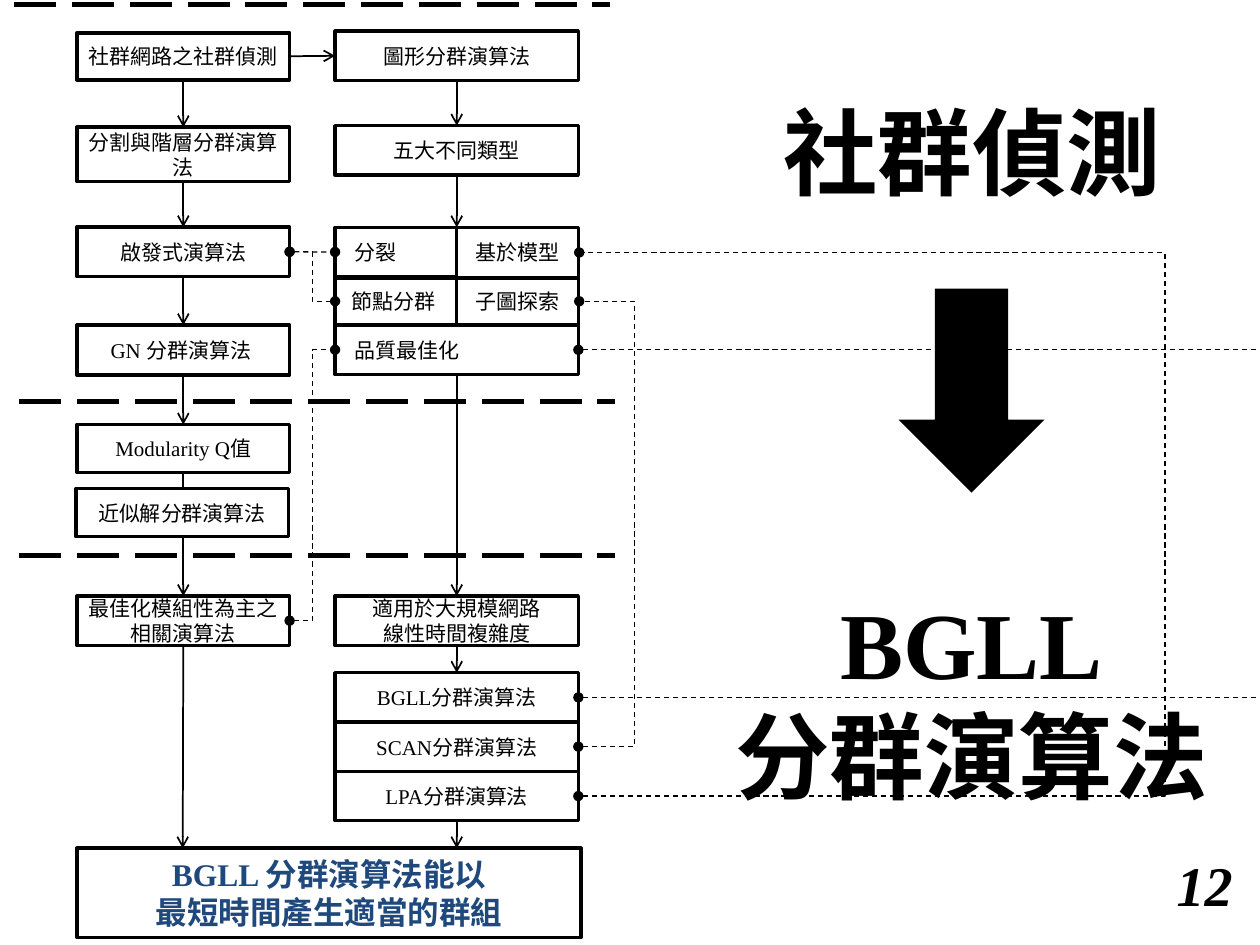
import pptx
import pptx.util
import pptx.dml.color
import pptx.enum.dml
import pptx.enum.shapes
import pptx.enum.text
import pptx.oxml
import pptx.oxml.ns

Pt = pptx.util.Pt
ALIGN = pptx.enum.text.PP_ALIGN
SHAPES = pptx.enum.shapes.MSO_SHAPE
CONNECTORS = pptx.enum.shapes.MSO_CONNECTOR
DASHES = pptx.enum.dml.MSO_LINE

THEME = {
    "ink": "000000", "paper": "FFFFFF", "accent": "1F497D",
    "font": "Times New Roman", "title_font": "Noto Sans CJK SC",
    "body": 12, "result": 18, "number": 32, "title": 54,
    "border": 2, "flow": 1, "relation": 0.75, "divider": 3,
}
TOP, LEFT, BOTTOM, RIGHT = range(4)

SLIDE_WIDTH, SLIDE_HEIGHT = 720, 540
STEP_X, STEP_WIDTH = 44, 121.5
TYPE_X, TYPE_WIDTH = 191.5, 139
HALF = TYPE_WIDTH / 2
TYPE_MIDDLE = TYPE_X + HALF
ROW = 28.2
TYPES_Y, NODES_Y, QUALITY_Y = 129.9, 158.7, 185.8
ALGORITHMS_Y = 384.4
RESULT_Y = 484.7

STEPS = [
    ("community", "社群網路之社群偵測", 18.7, 26.9),
    ("partition", "分割與階層分群演算法", 72.7, 31),
    ("heuristic", "啟發式演算法", 129.8, ROW),
    ("gn", "GN 分群演算法 ", 185.8, 28.6),
    ("modularity", "Modularity Q值", 242.6, 27.4),
    ("optimise", "最佳化模組性為主之\n相關演算法", 340.6, ROW),
]
TYPES = [
    ("graph", "圖形分群演算法", 17.8),
    ("five", "五大不同類型", 71.8),
    ("scale", "適用於大規模網路\v線性時間複雜度", 340.6),
]
CELLS = [
    ("split", "分裂", TYPE_X, TYPES_Y, HALF, ROW, {"align": ALIGN.LEFT, "left": 11}),
    ("nodes", "節點分群", TYPE_X, NODES_Y, HALF, 27, {"right": 9}),
    ("model", "基於模型", TYPE_MIDDLE, TYPES_Y, HALF, ROW + 0.6, {}),
    ("subgraph", "子圖探索", TYPE_MIDDLE, NODES_Y, HALF, 27, {}),
    ("quality", "品質最佳化", TYPE_X, QUALITY_Y, TYPE_WIDTH, ROW, {"align": ALIGN.LEFT, "left": 11}),
]
ALGORITHMS = [("bgll", "BGLL分群演算法"), ("scan", "SCAN分群演算法"), ("lpa", "LPA分群演算法")]

FLOWS = [
    (("community", BOTTOM), ("partition", TOP)),
    (("partition", BOTTOM), ("heuristic", TOP)),
    (("heuristic", BOTTOM), ("gn", TOP)),
    (("gn", BOTTOM), ("modularity", TOP)),
    (("modularity", BOTTOM), ("optimise", TOP)),
    (("optimise", BOTTOM), (104.4, RESULT_Y)),
    (("community", RIGHT), ("graph", LEFT)),
    (("graph", BOTTOM), ("five", TOP)),
    (("five", BOTTOM), (TYPE_MIDDLE, TYPES_Y)),
    (("quality", BOTTOM), ("scale", TOP)),
    (("scale", BOTTOM), ("bgll", TOP)),
    (("lpa", BOTTOM), (TYPE_MIDDLE, RESULT_Y)),
]
ELBOWS = [
    ("optimise", "quality", LEFT, 178.5),
    ("heuristic", "nodes", LEFT, 178.5),
    ("lpa", "model", RIGHT, 659),
    ("scan", "subgraph", RIGHT, 362),
]
MINIMUM_RUN = 0.5
DIVIDERS = [(8, 2.7), (10.9, 229.4), (10.9, 317.5)]
DIVIDER_WIDTH = 340.7

presentation = pptx.Presentation()
presentation.slide_width, presentation.slide_height = Pt(SLIDE_WIDTH), Pt(SLIDE_HEIGHT)
slide = presentation.slides.add_slide(presentation.slide_layouts[6])
boxes = {}


def colour(name):
    return pptx.dml.color.RGBColor.from_string(THEME[name])


def write(shape, text, size="body", font="font", ink="ink", bold=None, italic=None,
          align=ALIGN.CENTER, left=6, right=6, wrap=True):
    frame = shape.text_frame
    frame.word_wrap = wrap
    frame.vertical_anchor = pptx.enum.text.MSO_ANCHOR.MIDDLE
    frame.margin_left, frame.margin_right = Pt(left), Pt(right)
    frame.margin_top = frame.margin_bottom = Pt(3)
    frame.text = text
    for paragraph in frame.paragraphs:
        paragraph.alignment = align
        for run in paragraph.runs:
            run.font.name = THEME[font]
            run.font.size = Pt(THEME[size])
            run.font.bold, run.font.italic = bold, italic
            run.font.color.rgb = colour(ink)


def add_box(name, text, x, y, width, height, **style):
    shape = slide.shapes.add_shape(SHAPES.RECTANGLE, Pt(x), Pt(y), Pt(width), Pt(height))
    shape.shadow.inherit = False
    shape.fill.solid()
    shape.fill.fore_color.rgb = colour("paper")
    shape.line.color.rgb = colour("ink")
    shape.line.width = Pt(THEME["border"])
    write(shape, text, **style)
    boxes[name] = shape


def add_label(text, x, y, width, height, **style):
    write(slide.shapes.add_textbox(Pt(x), Pt(y), Pt(width), Pt(height)), text, bold=True, **style)


def side_middle(name, side):
    box = boxes[name]
    x = box.left + (box.width if side == RIGHT else 0)
    return x / Pt(1), (box.top + box.height / 2) / Pt(1)


def add_line(start, end, weight, dash=None, head=None, tail=None, bend=None):
    kind = CONNECTORS.STRAIGHT if bend is None else CONNECTORS.ELBOW
    points = [(0, 0) if point[0] in boxes else point for point in (start, end)]
    connector = slide.shapes.add_connector(kind, *[Pt(value) for point in points for value in point])
    if start[0] in boxes:
        connector.begin_connect(boxes[start[0]], start[1])
    if end[0] in boxes:
        connector.end_connect(boxes[end[0]], end[1])
    connector.line.color.rgb = colour("ink")
    connector.line.width = Pt(THEME[weight])
    if dash:
        connector.line.dash_style = dash
    properties = connector._element.spPr
    line = properties.find(pptx.oxml.ns.qn("a:ln"))
    namespace = pptx.oxml.ns.nsdecls("a")
    for tag, ending in (("a:headEnd", head), ("a:tailEnd", tail)):
        if ending:
            line.append(pptx.oxml.parse_xml(f"<{tag} {namespace} type='{ending}'/>"))
    properties.append(pptx.oxml.parse_xml(f"<a:effectLst {namespace}/>"))
    if bend is not None:
        share = round((bend - start[0]) / (end[0] - start[0]) * 100000)
        guides = properties.find(".//" + pptx.oxml.ns.qn("a:avLst"))
        guides.append(pptx.oxml.parse_xml(f"<a:gd {namespace} name='adj1' fmla='val {share}'/>"))


for name, text, y, height in STEPS:
    add_box(name, text, STEP_X, y, STEP_WIDTH, height)
for name, text, y in TYPES:
    add_box(name, text, TYPE_X, y, TYPE_WIDTH, ROW)
for name, text, x, y, width, height, style in CELLS:
    add_box(name, text, x, y, width, height, **style)
for index, (name, text) in enumerate(ALGORITHMS):
    add_box(name, text, TYPE_X, ALGORITHMS_Y + index * ROW, TYPE_WIDTH, ROW)
add_box("result", "BGLL 分群演算法能以\v最短時間產生適當的群組", STEP_X, RESULT_Y, 288, 51,
        size="result", ink="accent", bold=True)

for start, end in FLOWS:
    add_line(start, end, "flow", tail="arrow")
add_line(("heuristic", RIGHT), ("split", LEFT), "relation", DASHES.DASH, "oval", "oval")
for source, target, target_side, bend in ELBOWS:
    start, (end_x, end_y) = side_middle(source, RIGHT), side_middle(target, target_side)
    end = (max(end_x, start[0] + MINIMUM_RUN), end_y)
    add_line(start, end, "relation", DASHES.DASH, "oval", "oval", bend)
for name in ("quality", "bgll"):
    add_line((name, RIGHT), (SLIDE_WIDTH, side_middle(name, RIGHT)[1]), "relation", DASHES.DASH, "oval")
for x, y in DIVIDERS:
    add_line((x, y), (x + DIVIDER_WIDTH, y), "divider", DASHES.LONG_DASH)
add_box("approximate", "近似解分群演算法", 43.3, 279.2, STEP_WIDTH, 27.4)

add_label("社群偵測", 440.6, 50.4, 229.7, 71.3, size="title", font="title_font", wrap=False)
arrow = slide.shapes.add_shape(SHAPES.DOWN_ARROW, Pt(513.4), Pt(164.9), Pt(83.5), Pt(116.6))
arrow.shadow.inherit = False
arrow.fill.solid()
arrow.fill.fore_color.rgb = colour("ink")
arrow.line.fill.background()
add_label("BGLL\n分群演算法", 413.3, 330.5, 283.7, 136.8, size="title", wrap=False)
add_label("12", 543.6, 491, 167.8, 28.8, size="number", italic=True, align=ALIGN.RIGHT, right=7.2)

presentation.save("out.pptx")
